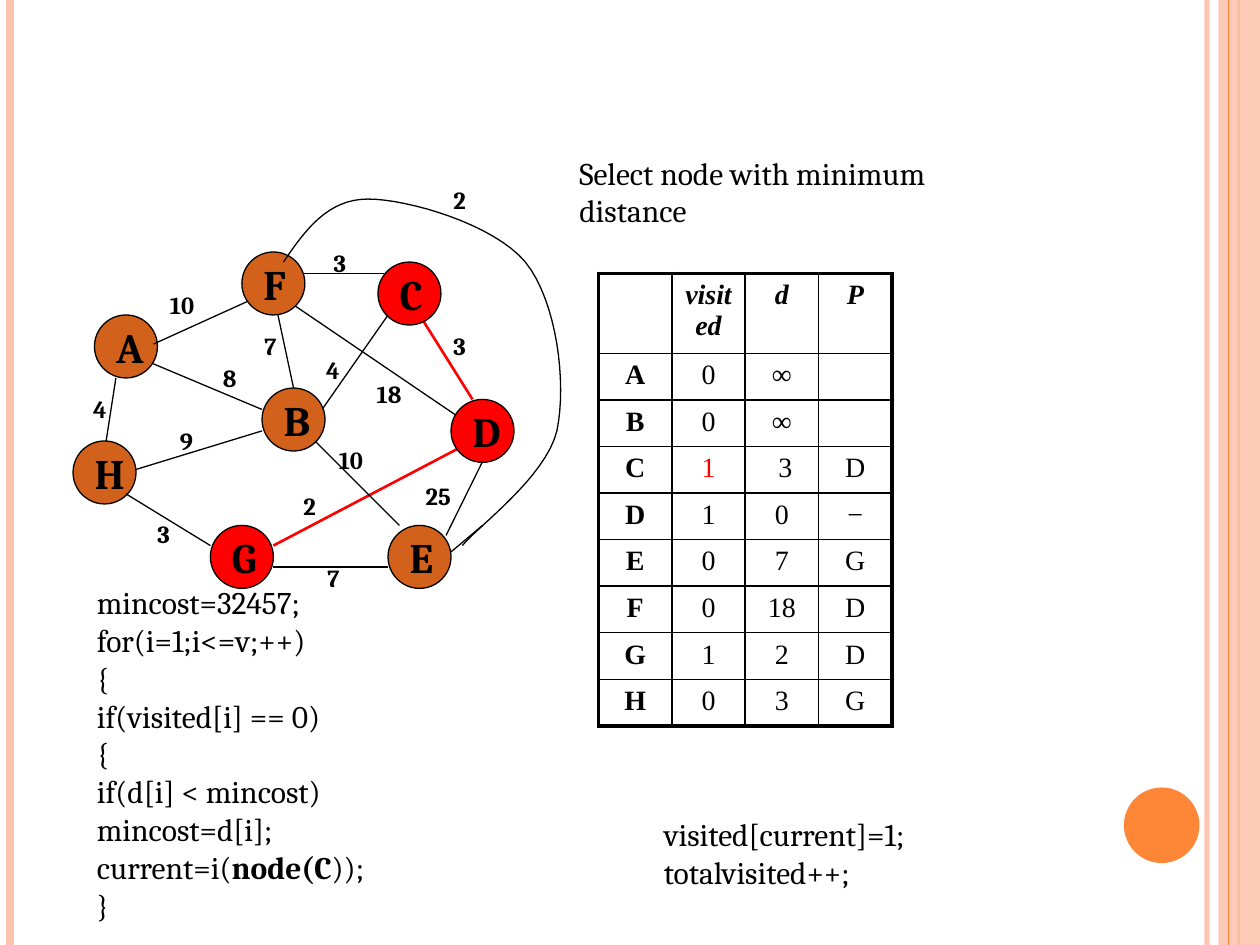
from pptx import Presentation
from pptx import util as u
from pptx.dml.color import RGBColor
from pptx.enum import shapes, text
from pptx.oxml import parse_xml
from pptx.oxml.ns import nsdecls, qn
from lxml import etree

COLORS = {"black": "000000", "red": "FF0000", "brown": "D2611C",
          "orange": "FE8637", "peach": "FEC3AE"}
NODE_SIZE = 0.5

# Graph data: node name, left, top, colour
NODES = [("A", 0.75, 2.5, "brown"), ("H", 0.58, 3.5, "brown"),
         ("B", 2.08, 3.08, "brown"), ("F", 1.92, 2, "brown"),
         ("E", 3.08, 4.17, "brown"), ("D", 3.58, 3.17, "red"),
         ("C", 3, 2.08, "red"), ("G", 1.67, 4.17, "red")]
EDGES_BEHIND = [(3.95, 3.42, 3.54, 4.25), (2.17, 2.33, 2.33, 3.08),
                (2.5, 3.33, 3.08, 2.5), (3.67, 3.33, 2.33, 2.42),
                (1, 3.75, 2.08, 3.42), (0.83, 3.58, 0.92, 3),
                (1.08, 2.83, 2.08, 3.25), (2.38, 2.17, 3.05, 2.17)]
SELECTED_EDGES = [(2.17, 4.33, 3.75, 3.5), (3.33, 2.5, 3.75, 3.17)]
EDGES_IN_FRONT = [(2.5, 3.5, 3.17, 4.17), (3.08, 4.5, 2.17, 4.5),
                  (1.67, 4.33, 1, 3.92), (1.22, 2.73, 1.97, 2.39),
                  (3.83, 4.17, 3.58, 4.38)]
WEIGHTS = [("4", 0.64, 3.08), ("25", 3.28, 3.77), ("7", 2.5, 4.42),
           ("2", 2.31, 3.85), ("10", 2.59, 3.48), ("18", 2.89, 2.96),
           ("3", 3.5, 2.58), ("4", 2.49, 2.77), ("3", 2.55, 1.92),
           ("7", 2, 2.58), ("8", 1.67, 2.83), ("9", 1.33, 3.33),
           ("3", 1.15, 4.07), ("10", 1.25, 2.25), ("2", 3.5, 1.42)]
# Long edge from F to E: start point, then Bezier segments
CURVE_START = (2.25, 2.08)
CURVE = [((2.42, 1.83), (2.6, 1.58), (2.92, 1.58)),
         ((3.24, 1.58), (3.92, 1.78), (4.17, 2.08)),
         ((4.42, 2.39), (4.5, 3.04), (4.42, 3.42)),
         ((4.33, 3.79), (3.79, 4.18), (3.67, 4.33))]

TABLE_ROWS = [("", "visited", "d", "P"),
              ("A", "0", "∞", ""), ("B", "0", "∞", ""),
              ("C", "1", " 3", "D"), ("D", "1", "0", "−"),
              ("E", "0", "7", "G"), ("F", "0", "18", "D"),
              ("G", "1", "2", "D"), ("H", "0", "3", "G")]
CURRENT_CELL = (3, 1)

CODE = ["mincost=32457;", "for(i=1;i<=v;++)", "{", "if(visited[i] == 0)", "{",
        "if(d[i] < mincost)", "mincost=d[i];",
        [("current=i(", False), ("node(C", True), ("));", False)], "}"]


def rgb(name):
    return RGBColor.from_string(COLORS[name])


def set_alpha(fill_parent, percent):
    color = next(fill_parent.iter(qn("a:srgbClr")))
    etree.SubElement(color, qn("a:alpha")).set("val", str(percent * 1000))


def write_text(frame, lines, size=18, font="Cambria", color="black",
               bold=False, italic=False, align=None):
    """Each line is a string or a list of (string, bold) runs."""
    for index, line in enumerate(lines):
        paragraph = frame.paragraphs[0] if index == 0 else frame.add_paragraph()
        paragraph.alignment = align
        if not line:
            # The end mark sets the height of an empty cell
            end_mark = etree.SubElement(paragraph._p, qn("a:endParaRPr"))
            end_mark.set("sz", str(size * 100))
            continue
        for content, run_bold in [(line, bold)] if isinstance(line, str) else line:
            run = paragraph.add_run()
            run.text = content
            run.font.size = u.Pt(size)
            run.font.name = font
            run.font.bold = run_bold
            run.font.italic = italic
            run.font.color.rgb = rgb(color)


def add_text(slide, lines, left, top, width, height, **format_options):
    box = slide.shapes.add_textbox(*map(u.Inches, (left, top, width, height)))
    box.text_frame.word_wrap = True
    write_text(box.text_frame, lines, **format_options)


def add_line(slide, ends, color="black", width=0.75, alpha=None):
    line = slide.shapes.add_connector(shapes.MSO_CONNECTOR.STRAIGHT,
                                      *map(u.Inches, ends))
    line.line.color.rgb = rgb(color)
    line.line.width = u.Pt(width)
    properties = line._element.spPr
    if alpha:
        set_alpha(properties, alpha)
    etree.SubElement(properties, qn("a:effectLst"))


def add_shape(slide, kind, left, top, width, height, fill, outline=None, alpha=None):
    shape = slide.shapes.add_shape(kind, *map(u.Inches, (left, top, width, height)))
    shape.shadow.inherit = False
    shape.fill.solid()
    shape.fill.fore_color.rgb = rgb(fill)
    if alpha:
        set_alpha(shape._element.spPr, alpha)
    if outline:
        shape.line.color.rgb = rgb(outline)
        shape.line.width = u.Pt(0.75)
    else:
        shape.line.fill.background()
    return shape


def add_node(slide, name, left, top, fill):
    node = add_shape(slide, shapes.MSO_SHAPE.OVAL, left, top,
                     NODE_SIZE, NODE_SIZE, fill, outline="black")
    node.text_frame.word_wrap = False
    node.text_frame.vertical_anchor = text.MSO_ANCHOR.MIDDLE
    write_text(node.text_frame, [name], size=24, bold=True,
               align=text.PP_ALIGN.LEFT)


def add_curve(slide, start, segments, steps=16):
    points, previous = [], start
    for first, second, end in segments:
        for step in range(1, steps + 1):
            t = step / steps
            points.append(tuple(
                u.Inches((1 - t) ** 3 * a + 3 * (1 - t) ** 2 * t * b
                         + 3 * (1 - t) * t ** 2 * c + t ** 3 * d)
                for a, b, c, d in zip(previous, first, second, end)))
        previous = end
    builder = slide.shapes.build_freeform(*map(u.Inches, start))
    builder.add_line_segments(points, close=False)
    curve = builder.convert_to_shape()
    curve.shadow.inherit = False
    curve.fill.background()
    curve.line.color.rgb = rgb("black")
    curve.line.width = u.Pt(0.75)


def set_borders(cell, outer_sides):
    properties = cell._tc.get_or_add_tcPr()
    for side in "LRTB":
        width = u.Pt(2.25 if side in outer_sides else 1)
        properties.append(parse_xml(
            f'<a:ln{side} {nsdecls("a")} w="{int(width)}"><a:solidFill>'
            f'<a:srgbClr val="{COLORS["black"]}"/></a:solidFill></a:ln{side}>'))


def add_distance_table(slide):
    last_row, last_column = len(TABLE_ROWS) - 1, len(TABLE_ROWS[0]) - 1
    table = slide.shapes.add_table(last_row + 1, last_column + 1, u.Inches(4.75),
                                   u.Inches(2.17), u.Inches(2.33), u.Inches(3.58)).table
    table.first_row = table.horz_banding = False
    for column in table.columns:
        column.width = u.Inches(2.33 / 4)
    for r, values in enumerate(TABLE_ROWS):
        table.rows[r].height = u.Inches(0.37 if r else 0.63)
        for c, value in enumerate(values):
            cell = table.cell(r, c)
            outer = {"L": c == 0, "R": c == last_column,
                     "T": r == 0, "B": r == last_row}
            set_borders(cell, [side for side in outer if outer[side]])
            cell.fill.background()
            write_text(cell.text_frame, [value], size=16, font="Times New Roman",
                       color="red" if (r, c) == CURRENT_CELL else "black",
                       bold=r == 0 or c == 0, italic=r == 0,
                       align=text.PP_ALIGN.CENTER)


def add_decoration(slide):
    add_line(slide, (9.58, 0, 9.58, 7.5), "peach", 3, alpha=93)
    add_line(slide, (0.08, 0, 0.08, 7.5), "peach", 4.5)
    add_line(slide, (9.83, 0, 9.83, 7.5), "orange", 1.5)
    add_shape(slide, shapes.MSO_SHAPE.RECTANGLE, 9.67, 0, 0.33, 7.5, "peach", alpha=87)
    add_line(slide, (9.75, 0, 9.75, 7.5), "orange")
    add_shape(slide, shapes.MSO_SHAPE.OVAL, 8.92, 6.25, 0.6, 0.6, "orange")


def add_graph(slide):
    for ends in EDGES_BEHIND:
        add_line(slide, ends)
    for ends in SELECTED_EDGES:
        add_line(slide, ends, "red", 1.5)
    for node in NODES:
        add_node(slide, *node)
    for ends in EDGES_IN_FRONT:
        add_line(slide, ends)
    add_curve(slide, CURVE_START, CURVE)
    for weight, left, top in WEIGHTS:
        add_text(slide, [weight], left, top, 0.33 if len(weight) == 1 else 0.52,
                 0.33, size=14, bold=True)


def main():
    presentation = Presentation()
    presentation.slide_width = u.Inches(10)
    presentation.slide_height = u.Inches(7.5)
    slide = presentation.slides.add_slide(presentation.slide_layouts[6])
    add_decoration(slide)
    add_graph(slide)
    # Explanation, distances and code
    add_text(slide, ["Select node with minimum distance"], 4.5, 1.17, 3.17, 0.77)
    add_distance_table(slide)
    add_text(slide, CODE, 0.67, 4.58, 3.08, 2.8)
    add_text(slide, ["visited[current]=1;", "totalvisited++;"], 5.17, 6.42, 2.67, 0.71)
    presentation.save("out.pptx")


main()
